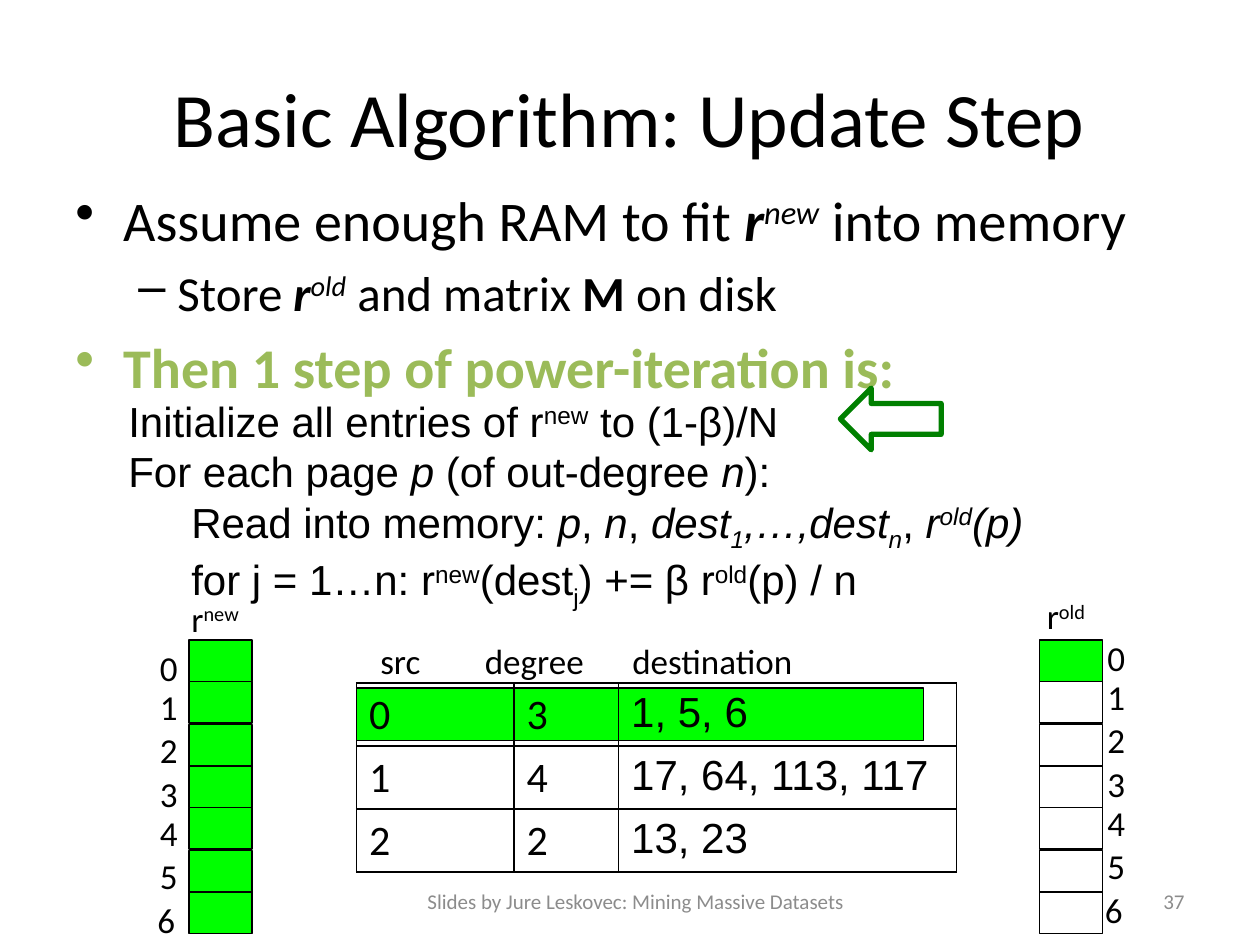
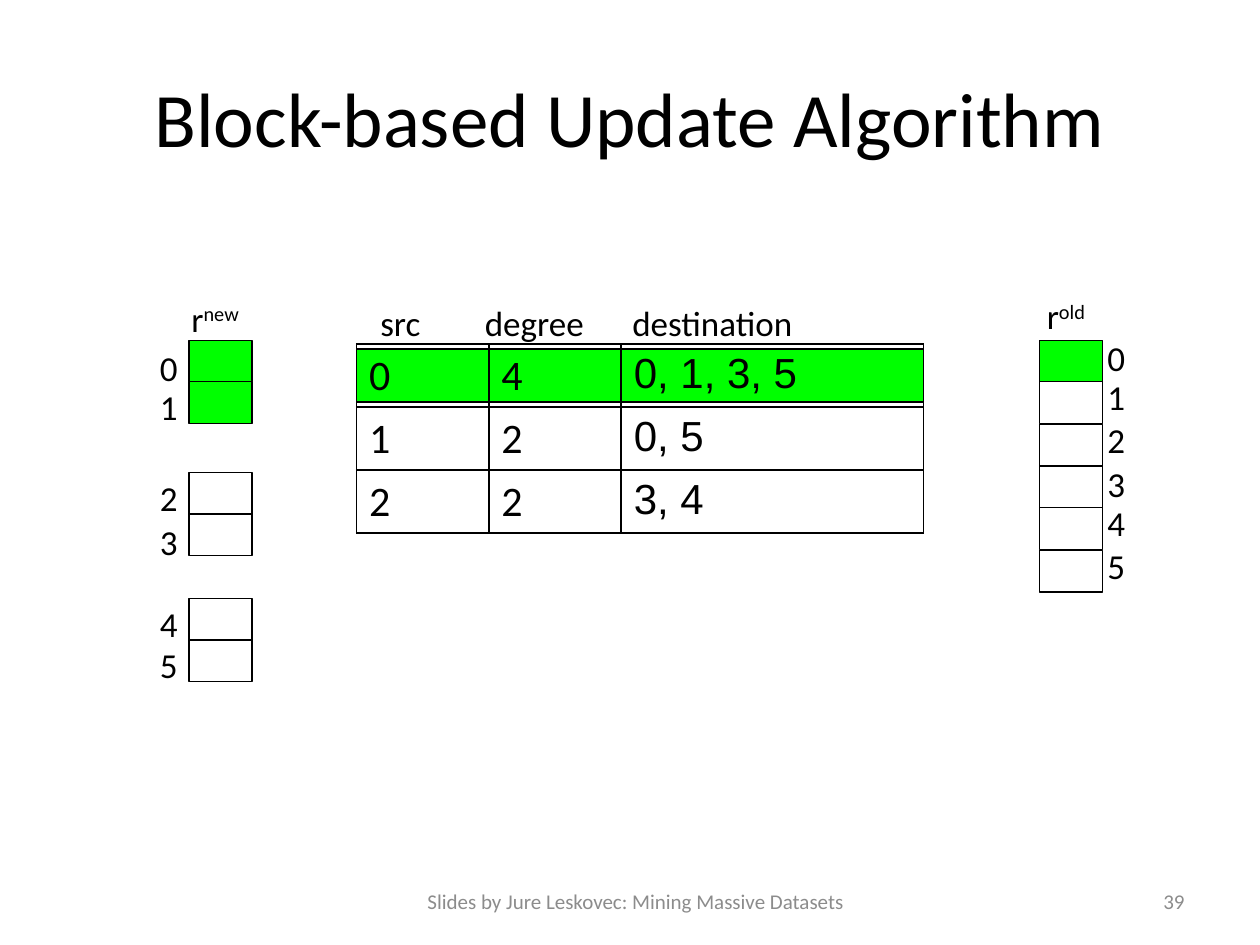
from dataclasses import dataclass
from typing import NamedTuple

from lxml.etree import SubElement
from pptx import Presentation
from pptx.dml.color import RGBColor
from pptx.enum.shapes import MSO_SHAPE
from pptx.enum.text import MSO_ANCHOR, MSO_AUTO_SIZE, PP_ALIGN
from pptx.oxml import parse_xml
from pptx.oxml.ns import nsdecls, qn
from pptx.util import Pt

# Shared look
SCALE = 9144  # EMU in one px, 100 px to the inch
BLACK = RGBColor(0, 0, 0)
GREY = RGBColor(0x8C, 0x8C, 0x8C)
LIME = RGBColor(0, 0xFF, 0)
GREEN = RGBColor(0, 0x80, 0)
OLIVE = RGBColor(0x9B, 0xBB, 0x59)
SANS, PLAIN = "Calibri", "Arial"
SUP, SUB = 30000, -25000
FOOTER = "Slides by Jure Leskovec: Mining Massive Datasets"
HEADS = (("src", 292, 57), ("degree", 375, 107), ("destination", 492, 155))


class Box(NamedTuple):
    left: int
    top: int
    width: int
    height: int


class Bit(NamedTuple):
    """A run of text with its own style."""
    text: str
    slant: bool = False
    base: int = 0
    bold: bool = False


@dataclass
class Line:
    """A paragraph and the style its runs share."""
    bits: list[Bit]
    size: int
    font: str = SANS
    ink: RGBColor = BLACK
    align: PP_ALIGN = PP_ALIGN.LEFT
    mark: str = ""
    level: int = 0
    margin: int = 0
    hang: int = 0


@dataclass
class Vector:
    """A column of cells with a number beside each one."""
    name: str
    left: int
    tops: list[int]
    lit: int
    tag: Box  # left and top count from the first cell
    side: int
    drop: int


@dataclass
class Matrix:
    top: int
    widths: tuple[int, ...]
    rows: list[tuple[str, str, str]]


def px(count: int) -> int:
    return count * SCALE


def place(box: Box) -> list[int]:
    return [px(side) for side in box]


# Text
def write(para, line: Line) -> None:
    para.alignment, para.level = line.align, line.level
    font = para.font
    font.size, font.name = Pt(line.size), line.font
    font.color.rgb = line.ink
    if line.mark:
        para.space_before = Pt(line.size * 0.2)
        props = para._p.get_or_add_pPr()
        props.set("marL", str(px(line.margin)))
        props.set("indent", str(px(-line.hang)))
        bullet = SubElement(props, qn("a:buChar"))
        bullet.set("char", line.mark)
        props.insert(list(props).index(props.find(qn("a:defRPr"))), bullet)
    for bit in line.bits:
        run = para.add_run()
        run.text = bit.text
        if bit.slant:
            run.font.italic = True
        if bit.bold:
            run.font.bold = True
        if bit.base:
            run._r.get_or_add_rPr().set("baseline", str(bit.base))


def add_text(slide, box: Box, lines: list[Line], wrap: bool = True,
             anchor: MSO_ANCHOR = MSO_ANCHOR.TOP) -> None:
    frame = slide.shapes.add_textbox(*place(box)).text_frame
    frame.word_wrap, frame.vertical_anchor = wrap, anchor
    if not wrap:
        frame.auto_size = MSO_AUTO_SIZE.SHAPE_TO_FIT_TEXT
    for i, line in enumerate(lines):
        write(frame.add_paragraph() if i else frame.paragraphs[0], line)


def add_label(slide, box: Box, *bits: Bit) -> None:
    add_text(slide, box, [Line(list(bits), 20)], wrap=False)


# Shapes
def add_form(slide, kind: MSO_SHAPE, box: Box, fill: RGBColor | None = None,
             ink: RGBColor = BLACK, weight: float = 0.75) -> None:
    shape = slide.shapes.add_shape(kind, *place(box))
    shape.shadow.inherit = False
    if fill is None:
        shape.fill.background()
    else:
        shape.fill.solid()
        shape.fill.fore_color.rgb = fill
    shape.line.color.rgb, shape.line.width = ink, Pt(weight)


def stack(top: int, count: int) -> list[int]:
    return [top + round(i * 100 / 3) for i in range(count)]


def add_vector(slide, vec: Vector) -> None:
    for i, top in enumerate(vec.tops):
        add_form(slide, MSO_SHAPE.RECTANGLE, Box(vec.left, top, 50, 33),
                 LIME if i < vec.lit else None)
    for i, top in enumerate(vec.tops):
        lift = 2 if i % 3 else 0
        add_label(slide, Box(vec.left + vec.side - (2 if i == 6 else 0),
                             top + vec.drop - lift, 36, 43), Bit(str(i)))
    tag = vec.tag
    add_label(slide, Box(vec.left + tag.left, vec.tops[0] + tag.top,
                         tag.width, tag.height), Bit("r"), Bit(vec.name, base=SUP))


def fresh(tops: list[int], lit: int) -> Vector:
    return Vector("new", 150, tops, lit, Box(-8, -39, 62, 43), -33, 0)


def stale(tops: list[int]) -> Vector:
    return Vector("old", 825, tops, 1, Box(-4, -41, 53, 43), 44, -8)


# Table
def edge(cell) -> None:
    props = cell._tc.get_or_add_tcPr()
    for i, side in enumerate("LRTB"):
        props.insert(i, parse_xml(
            f'<a:ln{side} {nsdecls("a")} w="{Pt(1)}"><a:solidFill>'
            f'<a:srgbClr val="{BLACK}"/></a:solidFill></a:ln{side}>'))


def add_matrix(slide, data: Matrix) -> None:
    add_form(slide, MSO_SHAPE.RECTANGLE, Box(283, data.top + 4, 450, 42), LIME)
    box = Box(283, data.top, sum(data.widths), 150)
    table = slide.shapes.add_table(len(data.rows), len(data.widths),
                                   *place(box)).table
    table.first_row = table.horz_banding = False
    for col, width in zip(table.columns, data.widths):
        col.width = px(width)
    for r, row in enumerate(data.rows):
        for c, text in enumerate(row):
            cell = table.cell(r, c)
            cell.fill.background()
            edge(cell)
            write(cell.text_frame.paragraphs[0],
                  Line([Bit(text)], 24, PLAIN if c == 2 else SANS))
    for text, left, width in HEADS:
        add_label(slide, Box(left, data.top - 39, width, 43), Bit(text))


# Slide frame
def add_slide(deck, title: str, page: int):
    slide = deck.slides.add_slide(deck.slide_layouts[6])
    mid = MSO_ANCHOR.MIDDLE
    add_text(slide, Box(50, 30, 900, 125),
             [Line([Bit(title)], 44, align=PP_ALIGN.CENTER)], anchor=mid)
    for text, box, align in (
            (FOOTER, Box(292, 695, 425, 40), PP_ALIGN.CENTER),
            (str(page), Box(717, 695, 233, 40), PP_ALIGN.RIGHT)):
        add_text(slide, box, [Line([Bit(text)], 12, ink=GREY, align=align)],
                 anchor=mid)
    return slide


def basic(deck) -> None:
    slide = add_slide(deck, "Basic Algorithm: Update Step", 37)
    top = dict(mark="•", margin=38, hang=38)
    add_text(slide, Box(50, 142, 900, 327), [
        Line([Bit("Assume enough RAM to fit "), Bit("r", True, bold=True),
              Bit("new", True, SUP), Bit(" into memory")], 32, **top),
        Line([Bit("Store "), Bit("r", True, bold=True), Bit("old", True, SUP),
              Bit(" and matrix "), Bit("M", bold=True), Bit(" on disk")],
             28, mark="–", level=1, margin=81, hang=31),
        Line([Bit("Then 1 step of power-iteration is:", bold=True)],
             32, ink=OLIVE, **top)])
    add_matrix(slide, Matrix(542, (125, 83, 268), [
        ("0", "3", "1, 5, 6"), ("1", "4", "17, 64, 113, 117"),
        ("2", "2", "13, 23")]))
    add_vector(slide, fresh(stack(508, 7), 7))
    add_vector(slide, stale(stack(508, 7)))

    # Pseudocode
    steps = [
        [Bit("Initialize all entries of r"), Bit("new", base=SUP),
         Bit(" to (1-β)/N")],
        [Bit("For each page "), Bit("p ", True), Bit("(of out-degree "),
         Bit("n", True), Bit("):")],
        [Bit("\tRead into memory: "), Bit("p", True), Bit(", "),
         Bit("n", True), Bit(", "), Bit("dest", True), Bit("1", True, SUB),
         Bit(",…,dest", True), Bit("n", True, SUB), Bit(", "),
         Bit("r", True), Bit("old", True, SUP), Bit("(p)", True)],
        [Bit("\tfor j = 1…n: r"), Bit("new", base=SUP), Bit("(dest"),
         Bit("j", base=SUB), Bit(") += β r"), Bit("old", base=SUP),
         Bit("(p) / n")]]
    add_text(slide, Box(92, 309, 850, 172),
             [Line(bits, 24, PLAIN) for bits in steps])
    add_form(slide, MSO_SHAPE.LEFT_ARROW, Box(667, 308, 80, 49),
             ink=GREEN, weight=3)


def blocks(deck) -> None:
    slide = add_slide(deck, "Block-based Update Algorithm", 39)
    add_matrix(slide, Matrix(273, (105, 105, 240), [
        ("0", "4", "0, 1, 3, 5"), ("1", "2", "0, 5"), ("2", "2", "3, 4")]))
    pairs = [top for start in (270, 375, 475) for top in stack(start, 2)]
    add_vector(slide, fresh(pairs, 2))
    add_vector(slide, stale(stack(270, 6)))


def main() -> None:
    deck = Presentation()
    deck.slide_width, deck.slide_height = px(1000), px(750)
    basic(deck)
    blocks(deck)
    deck.save("out.pptx")


if __name__ == "__main__":
    main()
